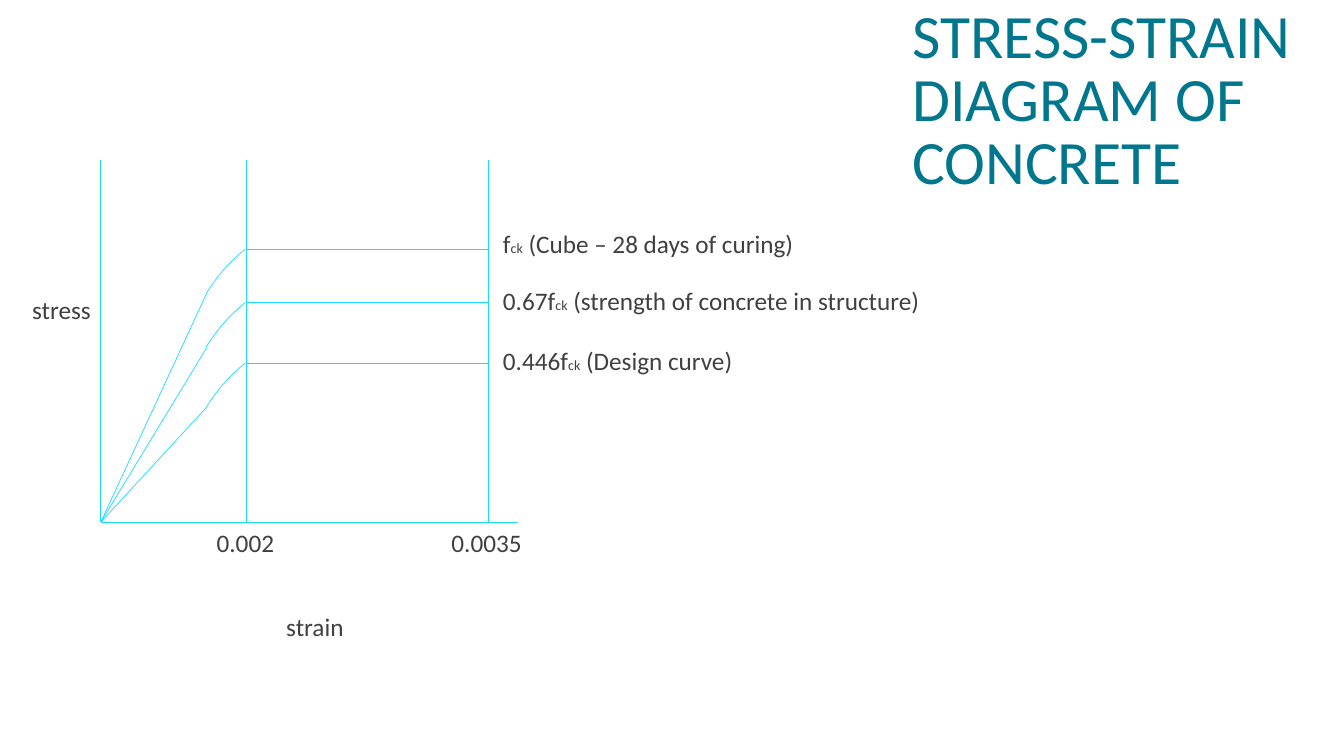
from lxml import etree
from pptx import Presentation
from pptx.dml.color import RGBColor
from pptx.enum.shapes import MSO_CONNECTOR, MSO_SHAPE
from pptx.enum.text import MSO_ANCHOR, MSO_AUTO_SIZE, PP_ALIGN
from pptx.oxml.ns import qn
from pptx.util import Inches, Pt

STRAIGHT = MSO_CONNECTOR.STRAIGHT
ARC = MSO_SHAPE.ARC
LEFT = PP_ALIGN.LEFT
TOP, BOTTOM = MSO_ANCHOR.TOP, MSO_ANCHOR.BOTTOM
FIXED, GROW = MSO_AUTO_SIZE.NONE, MSO_AUTO_SIZE.SHAPE_TO_FIT_TEXT


def color(value):
    return RGBColor.from_string(value)


class DiagramSlide:
    """Draws the lines, curves and labels of a diagram in one style."""

    font = "Calibri"
    title_color = "00778D"
    text_color = "404040"
    line_color = "1BDCFF"
    line_width = 0.5

    def __init__(self, slide):
        self.slide = slide

    def apply(self, target, formats):
        for name, value in formats.items():
            setattr(target, name, value)

    def outline(self, shape):
        shape.line.color.rgb = color(self.line_color)
        shape.line.width = Pt(self.line_width)

    def line(self, start, end):
        points = [Inches(value) for value in (*start, *end)]
        connector = self.slide.shapes.add_connector(STRAIGHT, *points)
        self.outline(connector)
        etree.SubElement(connector._element.spPr, qn("a:effectLst"))

    def arc(self, box, rotation, adjustments):
        shape = self.slide.shapes.add_shape(ARC, *map(Inches, box))
        shape.shadow.inherit = False
        shape.fill.background()
        shape.rotation = rotation
        for index, value in enumerate(adjustments):
            shape.adjustments[index] = value
        self.outline(shape)

    def text(self, box, runs, font_color, frame_formats, spacing=1.0):
        shape = self.slide.shapes.add_textbox(*map(Inches, box))
        self.apply(shape.text_frame, frame_formats)
        paragraph = shape.text_frame.paragraphs[0]
        self.apply(paragraph, {"alignment": LEFT, "line_spacing": spacing})
        for content, size in runs:
            run = paragraph.add_run()
            run.text = content
            self.apply(run.font, {"name": self.font, "size": Pt(size)})
            run.font.color.rgb = color(font_color)

    def title(self, box, content):
        formats = {"word_wrap": True, "auto_size": FIXED, "vertical_anchor": BOTTOM}
        self.text(box, [(content, 44)], self.title_color, formats, 0.85)

    def label(self, left, top, width, runs):
        formats = {"word_wrap": False, "auto_size": GROW, "vertical_anchor": TOP}
        self.text((left, top, width, 0.4), runs, self.text_color, formats)


def main():
    presentation = Presentation()
    presentation.slide_width = Inches(13.33)
    presentation.slide_height = Inches(7.5)
    slide = presentation.slides.add_slide(presentation.slide_layouts[6])
    diagram = DiagramSlide(slide)
    diagram.title((8.95, 0, 4.38, 2), "STRESS-STRAIN DIAGRAM OF CONCRETE")

    origin_x, yield_x, ultimate_x = 1, 2.44, 4.84
    axis_top, axis_y = 1.59, 5.18
    for x in (origin_x, yield_x, ultimate_x):
        diagram.line((x, axis_top), (x, axis_y))
    diagram.line((origin_x, axis_y), (5.14, axis_y))

    curves = [
        (2.47, 2.91, 2.22, 3.16, "f", " (Cube – 28 days of curing)"),
        (3, 3.45, 2.78, 4.38, "0.67f", " (strength of concrete in structure)"),
        (3.6, 4.04, 3.38, 2.51, "0.446f", " (Design curve)"),
    ]
    for plateau_y, elastic_y, label_top, label_width, symbol, meaning in curves:
        diagram.line((origin_x, axis_y), (2.05, elastic_y))
        diagram.arc((1.63, plateau_y - 0.13, 2.87, 2.39), 301.5, (162, 178.7))
        diagram.line((yield_x, plateau_y), (ultimate_x, plateau_y))
        runs = [(symbol, 18), ("ck", 10), (meaning, 18)]
        diagram.label(4.89, label_top, label_width, runs)

    axis_labels = [
        (2.05, 5.18, 0.78, "0.002"),
        (4.38, 5.18, 0.9, "0.0035"),
        (0.22, 2.87, 0.79, "stress"),
        (2.74, 6.02, 0.78, "strain"),
    ]
    for left, top, width, content in axis_labels:
        diagram.label(left, top, width, [(content, 18)])

    presentation.save("out.pptx")


if __name__ == "__main__":
    main()
